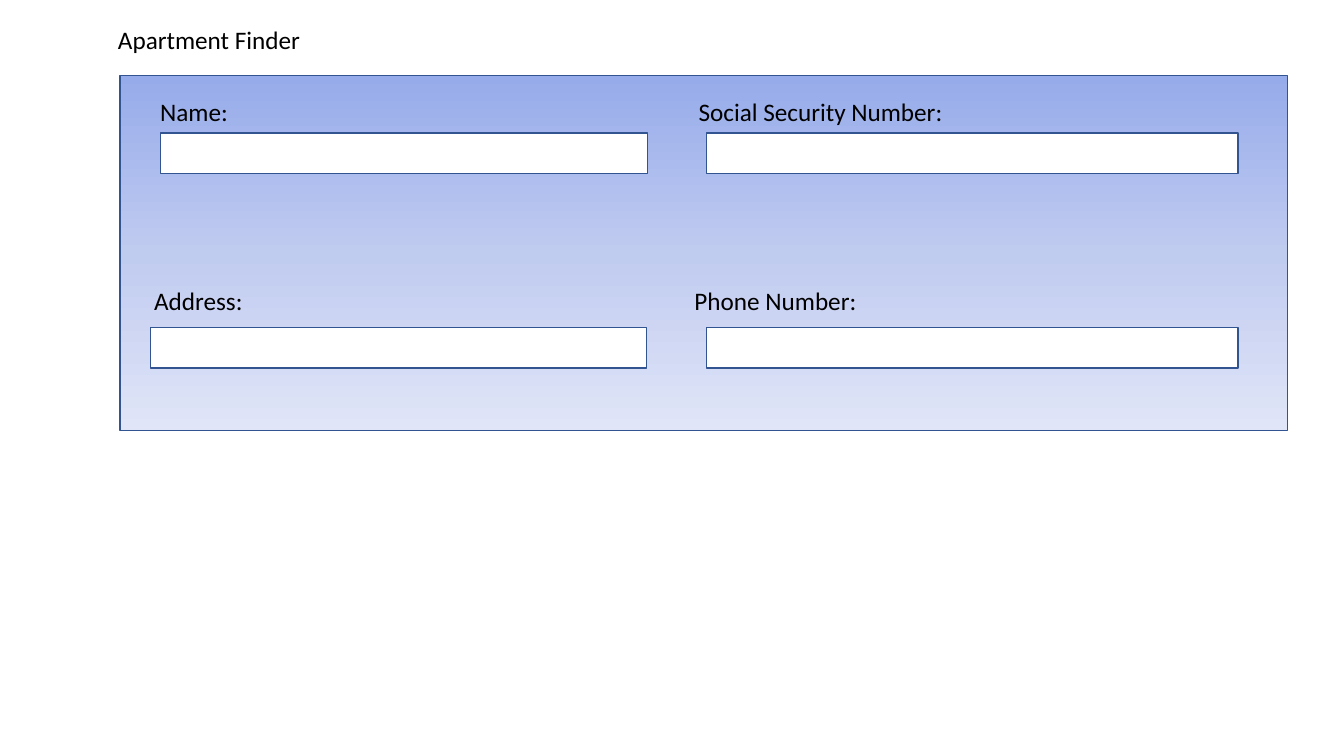
from copy import deepcopy

from lxml.etree import SubElement
from pptx import Presentation
from pptx.dml.color import RGBColor
from pptx.enum.shapes import MSO_SHAPE
from pptx.enum.text import MSO_ANCHOR, MSO_AUTO_SIZE, PP_ALIGN
from pptx.oxml.ns import qn
from pptx.util import Inches, Pt


def color(hex_string):
    return RGBColor.from_string(hex_string)


class FormSlide:
    """Holds the form's style and the slide being drawn."""

    font_name = "Calibri"
    font_size = 18
    text_color = "000000"
    line_color = "325491"
    field_color = "FFFFFF"
    field_height = 0.4
    gradient_colors = ["96ABEA", "C0CBF0", "E0E5F7"]

    def __init__(self, presentation):
        self.slide = presentation.slides.add_slide(presentation.slide_layouts[5])

    def add_text(self, shape, text):
        frame = shape.text_frame
        frame.word_wrap = True
        frame.auto_size = MSO_AUTO_SIZE.SHAPE_TO_FIT_TEXT
        frame.vertical_anchor = MSO_ANCHOR.TOP
        paragraph = frame.paragraphs[0]
        paragraph.alignment = PP_ALIGN.LEFT
        run = paragraph.add_run()
        run.text = text
        run.font.name = self.font_name
        run.font.size = Pt(self.font_size)
        run.font.color.rgb = color(self.text_color)
        return paragraph

    def title(self, text, left, top, width, height):
        shape = self.slide.shapes.title
        shape.left, shape.top = Inches(left), Inches(top)
        shape.width, shape.height = Inches(width), Inches(height)
        self.add_text(shape, text)

    def labels(self, texts, left, top, width, tab_position):
        """Add the labels of one row, parted by a tab stop."""
        shape = self.slide.shapes.add_textbox(
            Inches(left), Inches(top), Inches(width), Inches(0.4))
        paragraph = self.add_text(shape, "\t".join(texts))
        properties = paragraph._p.get_or_add_pPr()
        tab_list = SubElement(properties, qn("a:tabLst"))
        SubElement(tab_list, qn("a:tab"), pos=str(Inches(tab_position)), algn="l")

    def rectangle(self, left, top, width, height):
        shape = self.slide.shapes.add_shape(
            MSO_SHAPE.RECTANGLE, Inches(left), Inches(top), Inches(width), Inches(height))
        shape.shadow.inherit = False
        shape.line.color.rgb = color(self.line_color)
        shape.line.width = Pt(1)
        return shape

    def panel(self, left, top, width, height):
        shape = self.rectangle(left, top, width, height)
        fill = shape.fill
        fill.gradient()
        fill.gradient_angle = 270
        stop_list = shape.element.spPr.find(qn("a:gradFill")).find(qn("a:gsLst"))
        stop_list.insert(1, deepcopy(stop_list[0]))
        for index, stop in enumerate(fill.gradient_stops):
            stop.position = index / 2
            stop.color.rgb = color(self.gradient_colors[index])

    def field(self, left, top, width):
        shape = self.rectangle(left, top, width, self.field_height)
        shape.fill.solid()
        shape.fill.fore_color.rgb = color(self.field_color)


def main():
    presentation = Presentation()
    presentation.slide_width = Inches(13.33)
    presentation.slide_height = Inches(7.5)

    form = FormSlide(presentation)
    form.title("Apartment Finder", 1.07, 0.19, 7.42, 0.4)
    form.panel(1.19, 0.75, 11.58, 3.52)

    form.labels(["Name:", "Social Security Number:"], 1.49, 0.91, 10.98, 5.34)
    form.labels(["Address:", "Phone Number:"], 1.43, 2.78, 10.86, 5.36)

    for top, left, width in [(1.32, 1.59, 4.83), (3.25, 1.49, 4.92)]:
        form.field(left, top, width)
        form.field(7.01, top, 5.27)

    presentation.save("out.pptx")


if __name__ == "__main__":
    main()
